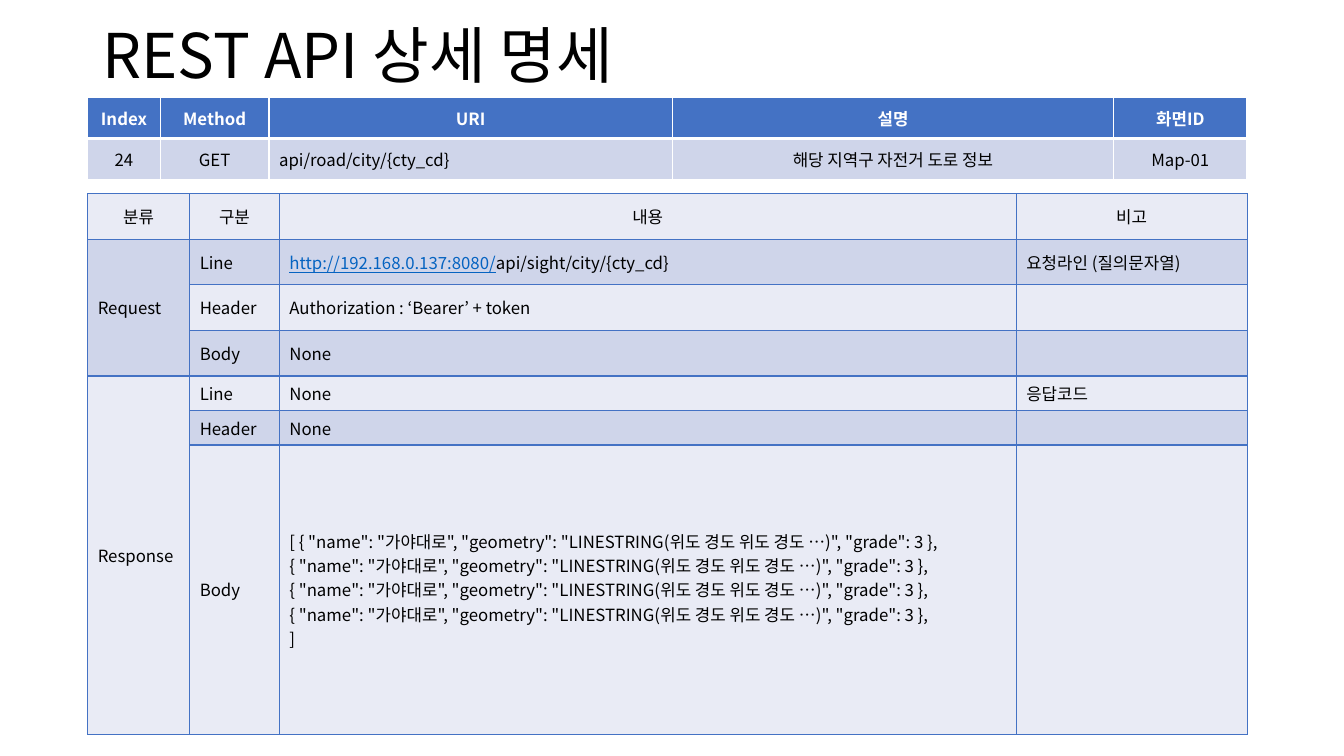
from lxml import etree
from pptx import Presentation
from pptx.dml.color import RGBColor
from pptx.enum import text
from pptx.oxml.ns import qn
from pptx.util import Cm, Pt

THEME = {
    "font": "Noto Sans CJK KR",
    "title": 44, "body": 12,
    "black": "000000", "white": "FFFFFF", "blue": "4472C4", "link": "0563C1",
    "dark_band": "CFD5EA", "light_band": "E9EBF5",
}
CENTER, LEFT = text.PP_ALIGN.CENTER, text.PP_ALIGN.LEFT


def add_span(para, words, size="body", color="black", bold=False, underline=False):
    span = para.add_run()
    span.text = words
    font = span.font
    font.size, font.bold, font.underline = Pt(THEME[size]), bold, underline
    font.color.rgb = RGBColor.from_string(THEME[color])
    font.name = THEME["font"]
    etree.SubElement(span._r.get_or_add_rPr(), qn("a:ea"), typeface=THEME["font"])


def style_cell(cell, fill, border, top=1, bottom=1):
    cell.vertical_anchor = text.MSO_ANCHOR.MIDDLE
    cell.fill.solid()
    cell.fill.fore_color.rgb = RGBColor.from_string(THEME[fill])
    properties = cell._tc.get_or_add_tcPr()
    for place, (side, width) in enumerate(zip("LRTB", (1, 1, top, bottom))):
        line = etree.Element(qn(f"a:ln{side}"), w=str(Pt(width)))
        solid = etree.SubElement(line, qn("a:solidFill"))
        etree.SubElement(solid, qn("a:srgbClr"), val=THEME[border])
        properties.insert(place, line)


deck = Presentation()
deck.slide_width, deck.slide_height = Cm(33.87), Cm(19.05)
page = deck.slides.add_slide(deck.slide_layouts[5])

# Title
title = page.shapes.title
title.left, title.top, title.width, title.height = Cm(2.33), Cm(-0.36), Cm(29.21), Cm(3.68)
title.text_frame.vertical_anchor = text.MSO_ANCHOR.MIDDLE
para = title.text_frame.paragraphs[0]
para.alignment, para.line_spacing = LEFT, 0.9
add_span(para, "REST API 상세 명세", "title")

# Table contents: a cell is a list of lines
summary_rows = [
    [["Index"], ["Method"], ["URI"], ["설명"], ["화면ID"]],
    [["24"], ["GET"], ["api/road/city/{cty_cd}"], ["해당 지역구 자전거 도로 정보"], ["Map-01"]],
]
host = "http://192.168.0.137:8080/"
road = '{ "name": "가야대로", "geometry": "LINESTRING(위도 경도 위도 경도 …)", "grade": 3 },'
detail_rows = [
    [["분류"], ["구분"], ["내용"], ["비고"]],
    [["Request"], ["Line"], [host + "api/sight/city/{cty_cd}"], ["요청라인 (질의문자열)"]],
    [[], ["Header"], ["Authorization : ‘Bearer’ + token"], []],
    [[], ["Body"], ["None"], []],
    [["Response"], ["Line"], ["None"], ["응답코드"]],
    [[], ["Header"], ["None"], []],
    [[], ["Body"], ["[ " + road, road, road, road, "]"], []],
]

# Tables: contents, top, column widths, row heights
layouts = [
    (summary_rows, 2.46, [1.83, 2.74, 10.16, 11.13, 3.35], [1.03] * 2),
    (detail_rows, 4.88, [2.57, 2.26, 18.57, 5.82], [1.15] * 4 + [0.66] * 2 + [7.29]),
]
for contents, top, widths, heights in layouts:
    is_summary = contents is summary_rows
    table = page.shapes.add_table(len(heights), len(widths), Cm(2.21), Cm(top),
                                  Cm(sum(widths)), Cm(sum(heights))).table
    for column, width in zip(table.columns, widths):
        column.width = Cm(width)
    for row, height in zip(table.rows, heights):
        row.height = Cm(height)

    for r, row in enumerate(contents):
        for c, lines in enumerate(row):
            cell = table.cell(r, c)
            is_header = is_summary and r == 0
            if is_summary:
                style_cell(cell, "blue" if is_header else "dark_band", "white",
                           top=1 if is_header else 3, bottom=3 if is_header else 1)
                centered = is_header or c != 2
            else:
                band_row = (1 if r < 4 else 4) if c == 0 and r else r
                style_cell(cell, "dark_band" if band_row % 2 else "light_band", "blue")
                centered = r == 0
            frame = cell.text_frame
            for number, line in enumerate(lines):
                para = frame.add_paragraph() if number else frame.paragraphs[0]
                para.alignment = CENTER if centered else LEFT
                if line.startswith(host):
                    add_span(para, host, color="link", underline=True)
                    line = line.removeprefix(host)
                add_span(para, line, color="white" if is_header else "black", bold=is_header)
            if not lines:  # keeps empty cells from stretching the short rows
                etree.SubElement(frame.paragraphs[0]._p, qn("a:endParaRPr"),
                                 sz=str(THEME["body"] * 100))

    # Request and Response each cover three rows
    if not is_summary:
        for first in (1, 4):
            table.cell(first, 0).merge(table.cell(first + 2, 0))

deck.save("out.pptx")
